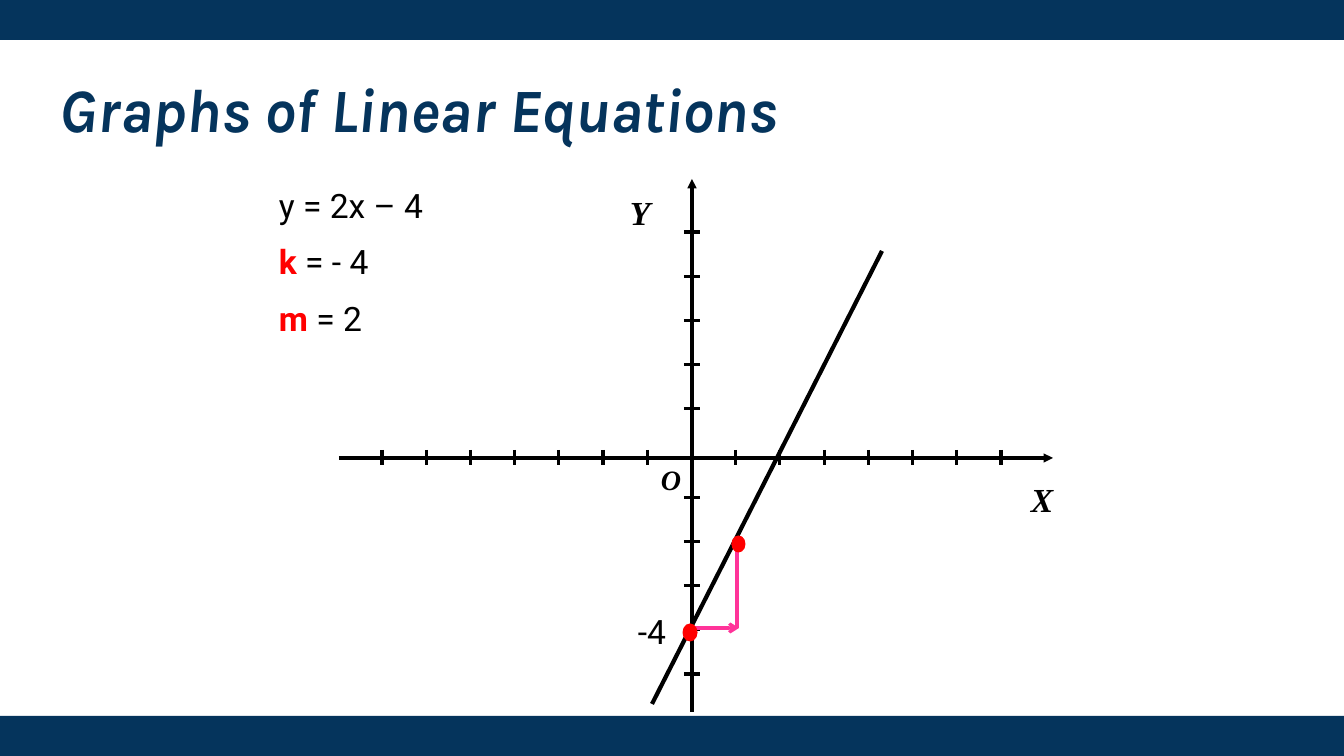
from lxml import etree
from pptx import Presentation
from pptx.dml.color import RGBColor
from pptx.enum.shapes import MSO_CONNECTOR, MSO_SHAPE
from pptx.enum.text import MSO_AUTO_SIZE
from pptx.oxml.ns import qn
from pptx.util import Pt

STRAIGHT = MSO_CONNECTOR.STRAIGHT
RECTANGLE, OVAL = MSO_SHAPE.RECTANGLE, MSO_SHAPE.OVAL
GROW, FIXED = MSO_AUTO_SIZE.SHAPE_TO_FIT_TEXT, MSO_AUTO_SIZE.NONE

EMU_PER_PX = 914400 / 100.8
SLIDE_W, SLIDE_H, BAND_H = 1344, 756, 40


class Theme:
    navy, black, red, pink = "05345C", "000000", "FF0000", "FF3399"
    title_font, body_font, axis_font = "Karla", "Roboto", "Times New Roman"
    title_size, body_size, origin_size = 44, 24, 20
    axis_line, graph_line, dot_line = 2.25, 3, 0.75


# Content: boxes are (left, top, width, height), lines (x1, y1, x2, y2), in px
TITLE = ("Graphs of Linear Equations", (50, 74, 815, 113))
EQUATION_BOX = (269, 191, 175, 151)
EQUATION = [
    [("y = 2x – 4", False)],
    [("k", True), (" = - 4", False)],
    [("m", True), (" = 2", False)],
]
AXIS_LABELS = [
    ("X", (1021, 474, 42, 50), Theme.body_size),
    ("Y", (620, 187, 47, 50), Theme.body_size),
    ("O", (651, 458, 40, 43), Theme.origin_size),
]
INTERCEPT = ("-4", (628, 606, 51, 50))
Y_AXIS = (692, 712, 692, 179)
X_AXIS = (339, 458, 1053, 458)
X_TICKS = (382, 1001, 7)  # first, last, count on each side of the origin
Y_TICKS = (232, 674, 5)
X_TICK_SPAN = (450, 465)
Y_TICK_SPAN = (684, 700)
GRAPH = (882, 251, 652, 704)
SLOPE_RUN = (692, 628, 739, 628)
SLOPE_RISE = (737, 628, 737, 536)
DOTS = [(683, 624, 14, 17), (732, 536, 13, 16)]


def px(value):
    return round(value * EMU_PER_PX)


def rgb(colour):
    return RGBColor.from_string(colour)


def tick_positions(first, last, per_side):
    """Even steps from first to last, without the one at the origin."""
    step = (last - first) / (2 * per_side)
    return [first + i * step for i in range(2 * per_side + 1) if i != per_side]


def add_text(slide, paragraphs, box, *, font, size, colour=Theme.black, bold=False,
             italic=False, spacing=None, gap=0, wrap=False, fit=GROW):
    """Paragraphs are lists of (text, highlighted) runs, or one plain string."""
    if isinstance(paragraphs, str):
        paragraphs = [[(paragraphs, False)]]
    frame = slide.shapes.add_textbox(*map(px, box)).text_frame
    frame.word_wrap = wrap
    frame.auto_size = fit
    for i, runs in enumerate(paragraphs):
        paragraph = frame.add_paragraph() if i else frame.paragraphs[0]
        if spacing:
            paragraph.line_spacing = spacing
        if i:
            paragraph.space_before = Pt(gap)
        for text, highlighted in runs:
            run = paragraph.add_run()
            run.text = text
            run.font.name, run.font.size = font, Pt(size)
            run.font.bold, run.font.italic = bold or highlighted, italic
            run.font.color.rgb = rgb(Theme.red if highlighted else colour)


def add_line(slide, ends, colour=Theme.black, width=Theme.axis_line, arrow=None):
    line = slide.shapes.add_connector(STRAIGHT, *map(px, ends))
    line.line.color.rgb = rgb(colour)
    line.line.width = Pt(width)
    if arrow:
        etree.SubElement(line.line._get_or_add_ln(), qn("a:tailEnd"), type=arrow)
    etree.SubElement(line._element.spPr, qn("a:effectLst"))


def add_solid(slide, kind, box, colour, outline=None):
    solid = slide.shapes.add_shape(kind, *map(px, box))
    solid.shadow.inherit = False
    solid.fill.solid()
    solid.fill.fore_color.rgb = rgb(colour)
    if outline:
        solid.line.color.rgb = rgb(colour)
        solid.line.width = Pt(outline)
    else:
        solid.line.fill.background()


def main():
    deck = Presentation()
    deck.slide_width, deck.slide_height = px(SLIDE_W), px(SLIDE_H)
    slide = deck.slides.add_slide(deck.slide_layouts[6])

    for top in (SLIDE_H - BAND_H, 0):
        add_solid(slide, RECTANGLE, (0, top, SLIDE_W, BAND_H), Theme.navy)
    title, title_box = TITLE
    add_text(slide, title, title_box, font=Theme.title_font, size=Theme.title_size,
             colour=Theme.navy, bold=True, italic=True, spacing=0.9, wrap=True, fit=FIXED)

    for axis in (Y_AXIS, X_AXIS):
        add_line(slide, axis, arrow="triangle")
    top, bottom = X_TICK_SPAN
    for x in tick_positions(*X_TICKS):
        add_line(slide, (x, top, x, bottom))
    left, right = Y_TICK_SPAN
    for y in tick_positions(*Y_TICKS):
        add_line(slide, (left, y, right, y))

    for label, box, size in AXIS_LABELS:
        add_text(slide, label, box, font=Theme.axis_font, size=size, bold=True, italic=True)
    intercept, intercept_box = INTERCEPT
    add_text(slide, intercept, intercept_box, font=Theme.body_font, size=Theme.body_size)

    add_line(slide, SLOPE_RUN, Theme.pink, arrow="arrow")
    add_line(slide, GRAPH, width=Theme.graph_line)
    add_line(slide, SLOPE_RISE, Theme.pink, arrow="arrow")
    add_text(slide, EQUATION, EQUATION_BOX, font=Theme.body_font, size=Theme.body_size,
             spacing=0.7, gap=20)
    for dot in DOTS:
        add_solid(slide, OVAL, dot, Theme.red, outline=Theme.dot_line)

    deck.save("out.pptx")


if __name__ == "__main__":
    main()
